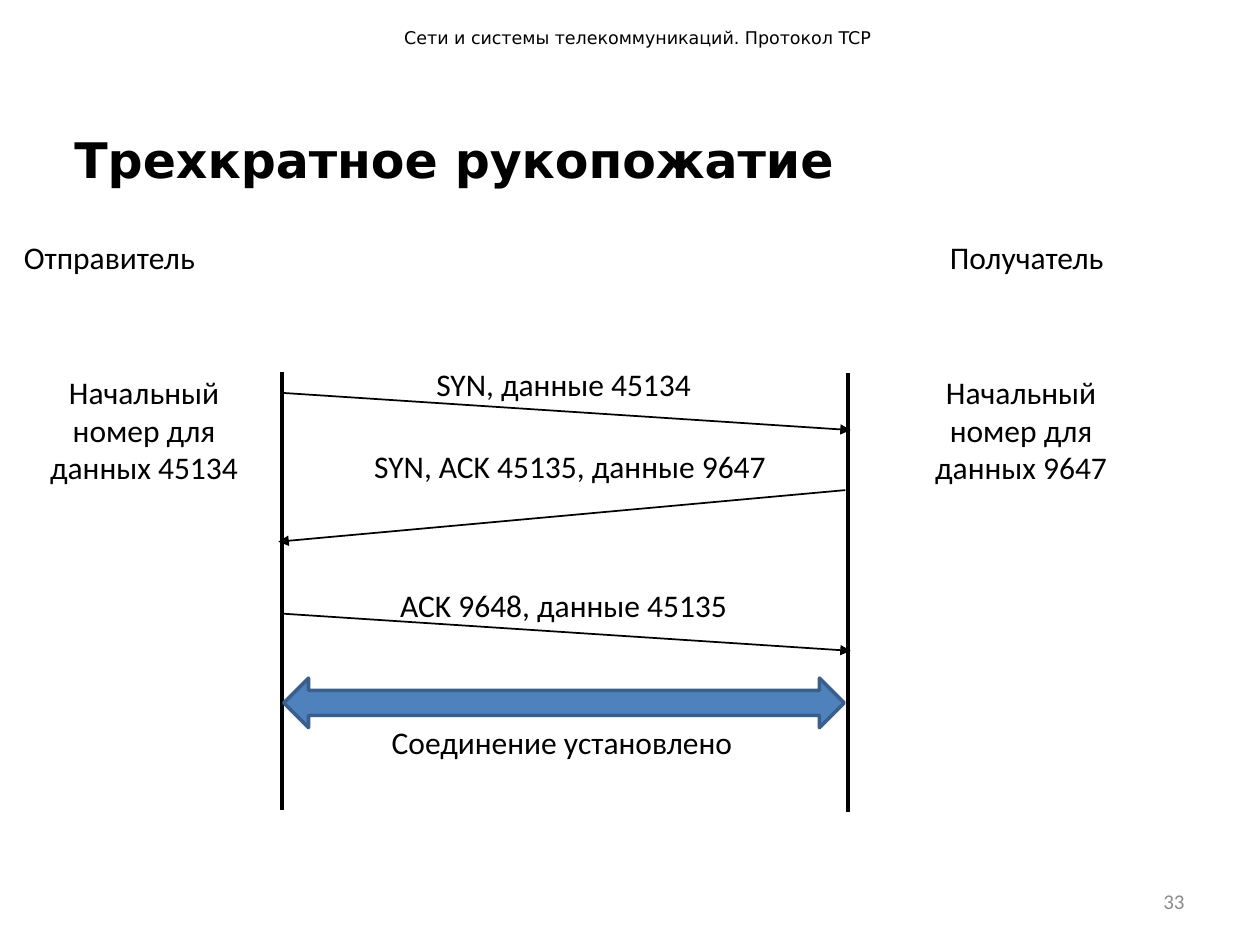
"""Build a slide on the three-way TCP handshake."""
from lxml import etree
from pptx import Presentation
from pptx.dml.color import RGBColor
from pptx.enum.shapes import MSO_CONNECTOR, MSO_SHAPE
from pptx.enum.text import MSO_ANCHOR, PP_ALIGN
from pptx.oxml.ns import qn
from pptx.util import Cm, Pt

LEFT, CENTER, RIGHT = PP_ALIGN.LEFT, PP_ALIGN.CENTER, PP_ALIGN.RIGHT
TOP, MIDDLE = MSO_ANCHOR.TOP, MSO_ANCHOR.MIDDLE
STRAIGHT = MSO_CONNECTOR.STRAIGHT
DOUBLE = MSO_SHAPE.LEFT_RIGHT_ARROW
COLORS = {"ink": "000000", "gray": "8C8C8C", "blue": "4F81BD", "edge": "3A5F8C"}
RGB = {name: RGBColor.from_string(code) for name, code in COLORS.items()}

deck = Presentation()
deck.slide_width, deck.slide_height = Cm(25.4), Cm(19.05)
slide = deck.slides.add_slide(deck.slide_layouts[5])
shapes = slide.shapes


def write(text, box, holder=None, size=18, face="Calibri", color="ink",
          bold=False, align=LEFT, anchor=TOP, inset=None):
    place = [Cm(n) for n in box]
    shape = holder or shapes.add_textbox(*place)
    shape.left, shape.top, shape.width, shape.height = place
    frame = shape.text_frame
    frame.word_wrap = True
    frame.vertical_anchor = anchor
    if inset is not None:
        frame.margin_left = frame.margin_right = Cm(inset)
        frame.margin_top = frame.margin_bottom = Cm(inset)
    para = frame.paragraphs[0]
    para.alignment = align
    run = para.add_run()
    run.text = text
    font = run.font
    font.name, font.size, font.bold = face, Pt(size), bold
    font.color.rgb = RGB[color]


def draw(start, end, width, head=False):
    line = shapes.add_connector(STRAIGHT, *[Cm(n) for n in start + end])
    line.line.color.rgb = RGB["ink"]
    line.line.width = Pt(width)
    if head:
        tail = etree.SubElement(line.line._get_or_add_ln(), qn("a:tailEnd"))
        tail.set("type", "triangle")
    etree.SubElement(line._element.spPr, qn("a:effectLst"))


write("Сети и системы телекоммуникаций. Протокол TCP", (7.9, 0.43, 17.4, 0.69),
      size=10, face="DejaVu Sans")
write("Трехкратное рукопожатие", (1.5, 2.62, 22.81, 1.19), holder=shapes.title,
      size=28, face="DejaVu Sans", bold=True, inset=0)
write("33", (18.21, 17.65, 5.92, 1.02), size=12, color="gray",
      align=RIGHT, anchor=MIDDLE)

sides = [
    ("Отправитель", 0.23, "45134", 0.38, 5.69, 7.49),
    ("Получатель", 18.9, "9647", 18.06, 17.09, 7.52),
]
for role, left, number, edge, axis, top in sides:
    write(role, (left, 4.67, 5.41, 1.02))
    write(f"Начальный номер для данных {number}", (edge, 7.39, 5.05, 2.57),
          align=CENTER)
    draw((axis, top), (axis, top + 8.84), 2)

steps = [
    ("SYN, данные 45134", 5.69, 7.24, (5.69, 7.92), (17.15, 8.67)),
    ("SYN, ACK 45135, данные 9647", 5.82, 8.89, (17.04, 9.88), (5.61, 10.92)),
    ("ACK 9648, данные 45135", 5.69, 11.68, (5.69, 12.37), (17.15, 13.12)),
]
for label, left, top, start, end in steps:
    draw(start, end, 1, head=True)
    write(label, (left, top, 11.35, 1.02), align=CENTER)

link = shapes.add_shape(DOUBLE, Cm(5.72), Cm(13.67), Cm(11.3), Cm(1))
link.shadow.inherit = False
link.fill.solid()
link.fill.fore_color.rgb = RGB["blue"]
link.line.color.rgb = RGB["edge"]
link.line.width = Pt(2)
write("Соединение установлено", (5.69, 14.45, 11.28, 1.02), align=CENTER)

deck.save("out.pptx")
